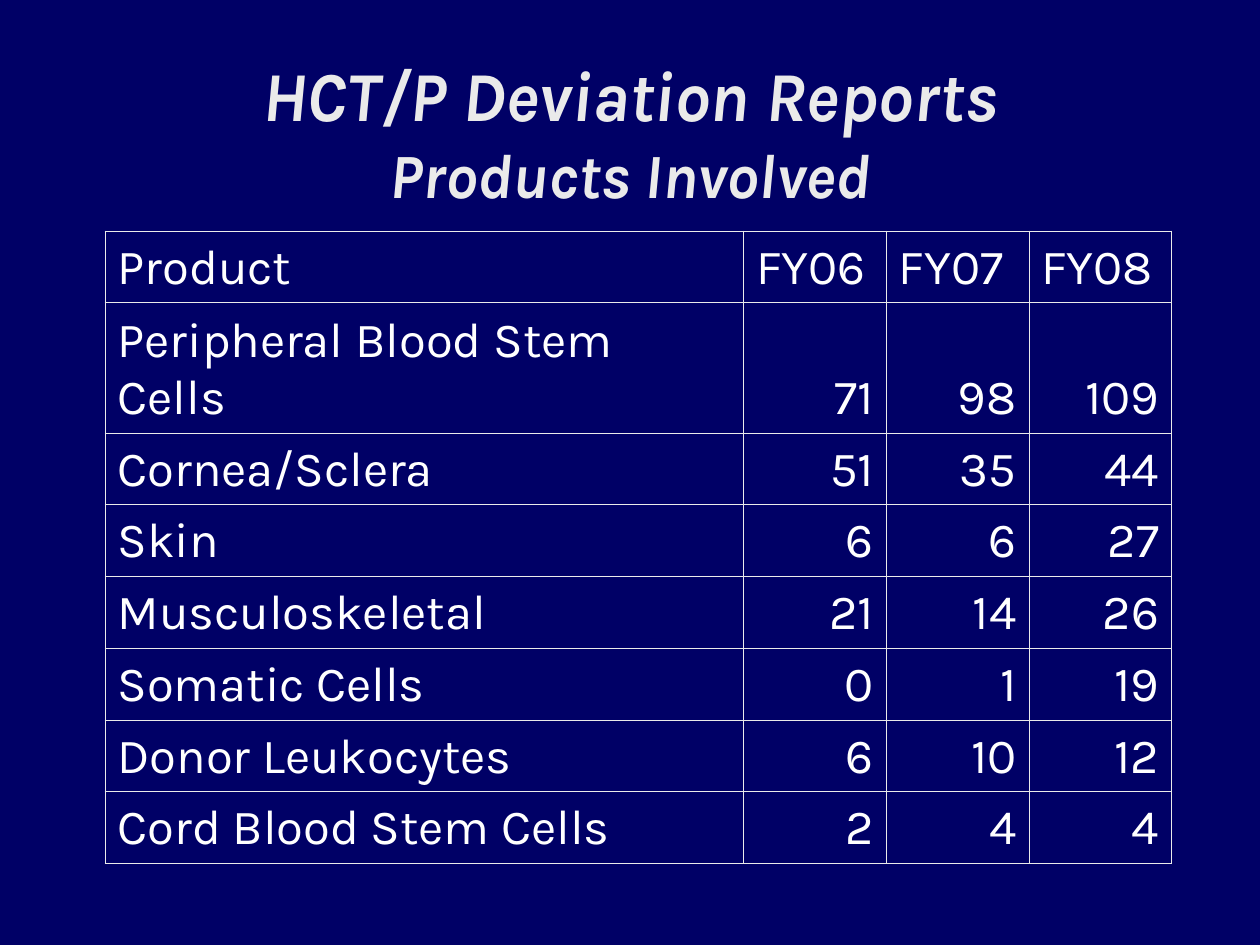
"""Build the slide of HCT/P deviation reports by product and fiscal year."""
from lxml.etree import SubElement
from pptx import Presentation
from pptx.dml.color import RGBColor
from pptx.enum.text import MSO_ANCHOR, PP_ALIGN
from pptx.oxml.ns import qn
from pptx.util import Pt


def color(value):
    return RGBColor.from_string(value)


def add_borders(cell, value, width):
    properties = cell._tc.get_or_add_tcPr()
    for side in ("a:lnL", "a:lnR", "a:lnT", "a:lnB"):
        line = SubElement(properties, qn(side), w=str(Pt(width)))
        fill = SubElement(line, qn("a:solidFill"))
        SubElement(fill, qn("a:srgbClr"), val=value)


ROWS = [
    ("Product", "FY06", "FY07", "FY08"),
    ("Peripheral Blood Stem Cells", "71", "98", "109"),
    ("Cornea/Sclera", "51", "35", "44"),
    ("Skin", "6", "6", "27"),
    ("Musculoskeletal", "21", "14", "26"),
    ("Somatic Cells", "0", "1", "19"),
    ("Donor Leukocytes", "6", "10", "12"),
    ("Cord Blood Stem Cells", "2", "4", "4"),
]
COLUMN_WIDTHS = [365, 81.5, 81.5, 81.5]
ROW_HEIGHTS = [41, 74.5] + [41] * 6

deck = Presentation()
deck.slide_width, deck.slide_height = Pt(720), Pt(540)
page = deck.slides.add_slide(deck.slide_layouts[6])
page.background.fill.solid()
page.background.fill.fore_color.rgb = color("000066")

frame = page.shapes.add_table(
    len(ROWS), len(COLUMN_WIDTHS), Pt(60), Pt(132),
    Pt(sum(COLUMN_WIDTHS)), Pt(sum(ROW_HEIGHTS)))
table = frame.table
table.first_row = False
table.horz_banding = False
for column, width in zip(table.columns, COLUMN_WIDTHS):
    column.width = Pt(width)
for row, height in zip(table.rows, ROW_HEIGHTS):
    row.height = Pt(height)

for row_index, values in enumerate(ROWS):
    for column_index, value in enumerate(values):
        cell = table.cell(row_index, column_index)
        cell.text = value
        cell.vertical_anchor = MSO_ANCHOR.BOTTOM
        add_borders(cell, "EAEAEA", 0.45)
        cell.fill.background()
        para = cell.text_frame.paragraphs[0]
        is_number = row_index > 0 and column_index > 0
        para.alignment = PP_ALIGN.RIGHT if is_number else PP_ALIGN.LEFT
        para.font.name = "Karla"
        para.font.size = Pt(28)
        para.font.color.rgb = color("FFFFFF")

title = page.shapes.add_textbox(Pt(54), Pt(30), Pt(612), Pt(90))
title.text_frame.word_wrap = True
title.text_frame.vertical_anchor = MSO_ANCHOR.MIDDLE
para = title.text_frame.paragraphs[0]
para.alignment = PP_ALIGN.CENTER
para.font.name = "Karla"
para.font.bold = True
para.font.italic = True
para.font.color.rgb = color("EAEAEA")
span = para.add_run()
span.text = "HCT/P Deviation Reports"
span.font.size = Pt(40)
para.add_line_break()
span = para.add_run()
span.text = "Products Involved"
span.font.size = Pt(36)

deck.save("out.pptx")
